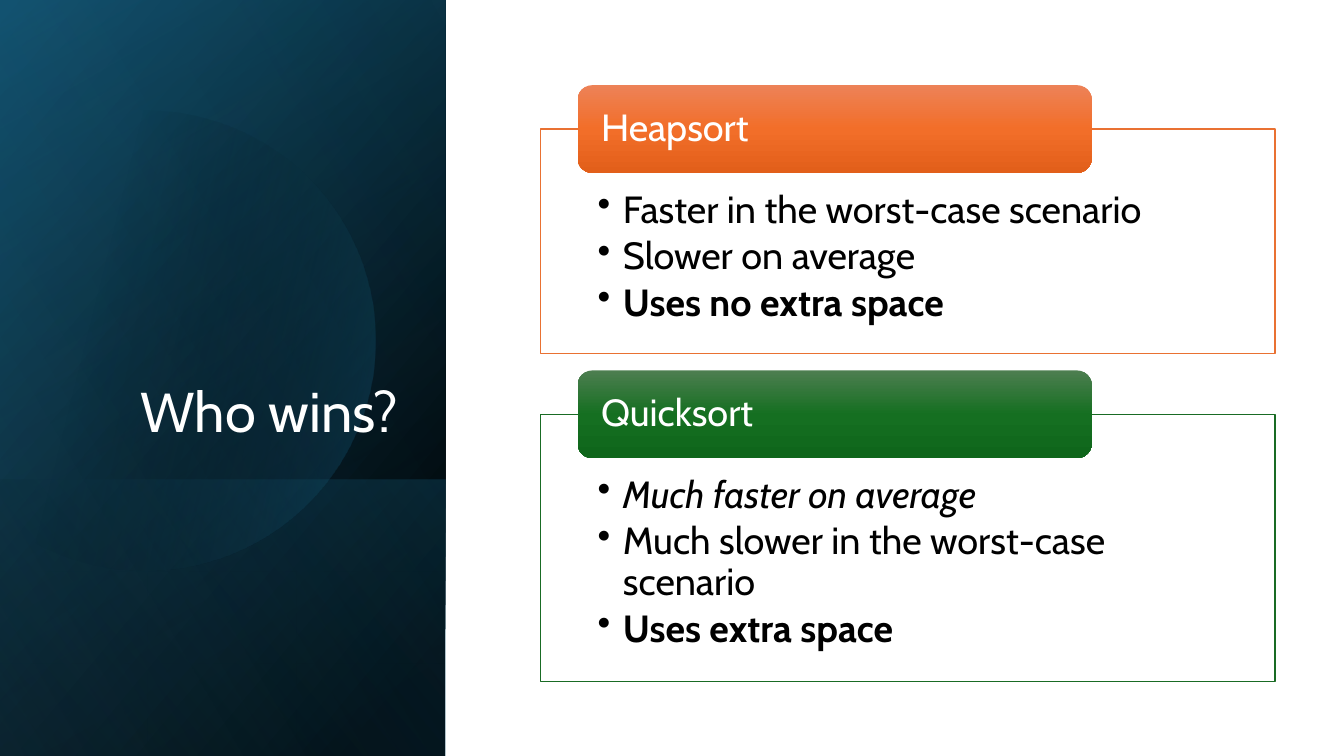
from math import acos, cos, sin
from lxml import etree
from pptx import Presentation
from pptx.dml.color import RGBColor
from pptx.enum.shapes import MSO_SHAPE as SHAPE
from pptx.enum.text import MSO_ANCHOR as ANCHOR, PP_ALIGN as ALIGN
from pptx.oxml import parse_xml
from pptx.oxml.ns import nsdecls, qn
from pptx.util import Inches, Pt

WHITE = RGBColor(0xFF, 0xFF, 0xFF)
BLACK = RGBColor(0, 0, 0)
ORANGE = RGBColor(0xE9, 0x71, 0x32)
GREEN = RGBColor(0x19, 0x6B, 0x24)
NAVY = RGBColor(0x10, 0x48, 0x62)
TEAL = RGBColor(0x15, 0x60, 0x82)
SKY = RGBColor(0x46, 0xB1, 0xE1)
ORANGE_TAB = [RGBColor(0xED, 0x82, 0x57), RGBColor(0xF2, 0x6E, 0x29), RGBColor(0xE2, 0x5F, 0x1A)]
GREEN_TAB = [RGBColor(0x4D, 0x7E, 0x50), RGBColor(0x15, 0x6F, 0x21), RGBColor(0x0F, 0x66, 0x1B)]

prs = Presentation()
prs.slide_width, prs.slide_height = Inches(13.33), Inches(7.5)
s = prs.slides.add_slide(prs.slide_layouts[6])
COL, ROW = prs.slide_width / 100, prs.slide_height / 100


def set_gradient(sp, stops, angle):
    sp.shadow.inherit = False
    sp.line.fill.background()
    sp.fill.background()
    gs = "".join(
        f'<a:gs pos="{pos * 1000}"><a:srgbClr val="{color}">'
        f'<a:alpha val="{alpha * 1000}"/></a:srgbClr></a:gs>'
        for pos, color, alpha in stops)
    grad = parse_xml(
        f'<a:gradFill {nsdecls("a")} rotWithShape="1"><a:gsLst>{gs}</a:gsLst>'
        f'<a:lin ang="{angle * 60000}" scaled="0"/></a:gradFill>')
    spPr = sp._element.spPr
    spPr.replace(spPr.find(qn("a:noFill")), grad)


def add_run(p, text, size, color):
    r = p.add_run()
    r.text = text
    r.font.name, r.font.size = "Cabin", Pt(size)
    r.font.color.rgb = color
    return r


panel_w = 33.15 * COL
panels = [
    (0, [(8, BLACK, 100), (100, NAVY, 100)], 50),
    (0, [(0, BLACK, 0), (99, TEAL, 46)], 30),
    (63.4, [(2, TEAL, 29), (100, BLACK, 30)], 130),
    (None, [(29, BLACK, 0), (100, TEAL, 43)], 14),
    (0, [(0, BLACK, 0), (99, SKY, 11)], 120),
]
for top, stops, angle in panels:
    if top is None:
        cx, cy, radius = 10.8 * COL, 45.07 * ROW, 30.4 * ROW
        cut = acos(-cx / radius)
        arc = [cut * (i / 60 - 1) for i in range(121)]
        points = [(cx + radius * cos(t), cy + radius * sin(t)) for t in arc]
        fb = s.shapes.build_freeform(*points[0])
        fb.add_line_segments(points[1:], close=True)
        sp = fb.convert_to_shape()
    else:
        length = (100 - top) * ROW
        left = (panel_w - length) / 2
        y = top * ROW + (length - panel_w) / 2
        sp = s.shapes.add_shape(SHAPE.RECTANGLE, int(left), int(y), int(length), int(panel_w))
        sp.rotation = 90
        sp._element.spPr.find(qn("a:xfrm")).set("flipH", "1")
    set_gradient(sp, stops, angle)

sp = s.shapes.add_textbox(int(4.8 * COL), int(24.53 * ROW), int(25.58 * COL), int(34.93 * ROW))
tf = sp.text_frame
tf.word_wrap, tf.vertical_anchor = True, ANCHOR.BOTTOM
p = tf.paragraphs[0]
p.alignment, p.line_spacing = ALIGN.RIGHT, 0.9
add_run(p, "Who wins?", 40, WHITE)

cards = [
    ("Heapsort", 17.07, 29.73, ORANGE, ORANGE_TAB, [
        ("Faster in the worst-case scenario", False, False),
        ("Slower on average", False, False),
        ("Uses no extra space", True, False)]),
    ("Quicksort", 54.8, 35.33, GREEN, GREEN_TAB, [
        ("Much faster on average", False, True),
        ("Much slower in the worst-case scenario", False, False),
        ("Uses extra space", True, False)]),
]
tab_h = 11.6
for name, top, height, color, shades, points in cards:
    sp = s.shapes.add_shape(SHAPE.RECTANGLE, int(40.2 * COL), int(top * ROW),
                            int(54.68 * COL), int(height * ROW))
    sp.shadow.inherit = False
    sp.fill.solid()
    sp.fill.fore_color.rgb = WHITE
    sp.line.color.rgb, sp.line.width = color, Pt(1)
    tf = sp.text_frame
    tf.word_wrap, tf.vertical_anchor = True, ANCHOR.TOP
    tf.margin_left = tf.margin_right = Inches(0.57)
    tf.margin_top, tf.margin_bottom = Inches(0.61), Inches(0.21)
    for i, (text, bold, italic) in enumerate(points):
        p = tf.add_paragraph() if i else tf.paragraphs[0]
        p.alignment, p.line_spacing, p.space_after = ALIGN.LEFT, 0.9, Pt(4)
        pPr = p._p.get_or_add_pPr()
        pPr.set("marL", str(Inches(0.25)))
        pPr.set("indent", str(-Inches(0.25)))
        etree.SubElement(pPr, qn("a:buChar")).set("char", "•")
        r = add_run(p, text, 27, BLACK)
        r.font.bold, r.font.italic = bold, italic

    sp = s.shapes.add_shape(SHAPE.ROUNDED_RECTANGLE, int(42.98 * COL), int((top - tab_h / 2) * ROW),
                            int(38.25 * COL), int(tab_h * ROW))
    set_gradient(sp, [(pos, shade, 100) for pos, shade in zip((0, 50, 100), shades)], 90)
    tf = sp.text_frame
    tf.word_wrap, tf.vertical_anchor = True, ANCHOR.MIDDLE
    tf.margin_left = tf.margin_right = Inches(0.19)
    tf.margin_top = tf.margin_bottom = 0
    p = tf.paragraphs[0]
    p.alignment, p.line_spacing = ALIGN.LEFT, 0.9
    add_run(p, name, 27, WHITE)

prs.save("out.pptx")
